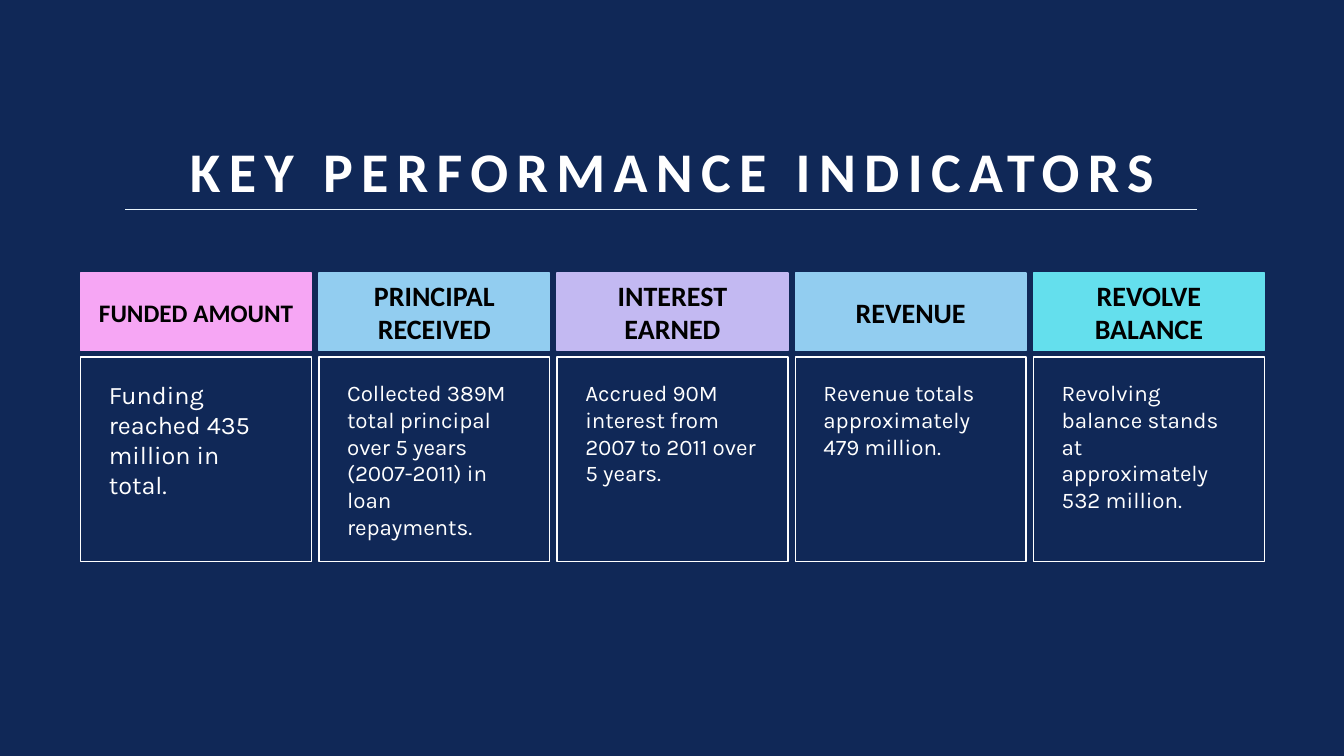
from dataclasses import dataclass

from lxml.etree import SubElement
from pptx import Presentation
from pptx.dml.color import RGBColor
from pptx.enum.shapes import MSO_CONNECTOR, MSO_SHAPE
from pptx.enum.text import MSO_ANCHOR, PP_ALIGN
from pptx.oxml.ns import qn
from pptx.util import Inches, Pt


@dataclass(frozen=True)
class Theme:
    background: str = "102857"
    light: str = "FFFFFF"
    dark: str = "000000"
    rule: str = "E9F5FC"
    pink: str = "F6A6F4"
    blue: str = "92CDF0"
    lilac: str = "C3B9F2"
    aqua: str = "64DFED"
    heading_font: str = "Calibri"
    body_font: str = "Karla"
    title_size: int = 40
    heading_size: int = 20
    body_size: int = 16
    lead_size: int = 18
    title_tracking: int = 6


@dataclass(frozen=True)
class Box:
    left: float
    top: float
    width: float
    height: float

    def lengths(self):
        return [Inches(n) for n in (self.left, self.top, self.width, self.height)]


THEME = Theme()
HEADING_FRAME = {"vertical_anchor": MSO_ANCHOR.MIDDLE}
BODY_FRAME = {
    "vertical_anchor": MSO_ANCHOR.TOP,
    "margin_left": Inches(0.28),
    "margin_top": Inches(0.22),
    "margin_right": Inches(0.3),
    "margin_bottom": Inches(0.05),
}
# heading, heading colour, heading size, body text, body size
INDICATORS = [
    ("FUNDED AMOUNT", THEME.pink, THEME.lead_size,
     "Funding reached 435 million in total.", THEME.lead_size),
    ("PRINCIPAL RECEIVED", THEME.blue, THEME.heading_size,
     "Collected 389M total principal over 5 years (2007-2011) in loan repayments.",
     THEME.body_size),
    ("INTEREST EARNED", THEME.lilac, THEME.heading_size,
     "Accrued 90M interest from 2007 to 2011 over 5 years.", THEME.body_size),
    ("REVENUE", THEME.blue, THEME.heading_size,
     "Revenue totals approximately 479 million.", THEME.body_size),
    ("REVOLVE BALANCE", THEME.aqua, THEME.heading_size,
     "Revolving balance stands at approximately 532 million.", THEME.body_size),
]


def apply(target, values):
    for name, value in values.items():
        setattr(target, name, value)


def write(shape, text, align, frame_format, color, **font_format):
    """Put one formatted run into the shape and return it."""
    frame = shape.text_frame
    apply(frame, {"word_wrap": True, **frame_format})
    para = frame.paragraphs[0]
    para.alignment = align
    span = para.add_run()
    span.text = text
    apply(span.font, font_format)
    span.font.color.rgb = RGBColor.from_string(color)
    return span


def add_panel(page, box, line, fill=None):
    panel = page.shapes.add_shape(MSO_SHAPE.RECTANGLE, *box.lengths())
    panel.shadow.inherit = False
    panel.line.color.rgb = RGBColor.from_string(line)
    panel.line.width = Pt(1)
    if fill:
        panel.fill.solid()
        panel.fill.fore_color.rgb = RGBColor.from_string(fill)
    else:
        panel.fill.background()
    return panel


def add_title(page, box):
    """Format the title placeholder and rule a line under it."""
    title = page.shapes.title
    apply(title, dict(zip(("left", "top", "width", "height"), box.lengths())))
    span = write(title, "KEY PERFORMANCE INDICATORS", PP_ALIGN.CENTER,
                 {"vertical_anchor": MSO_ANCHOR.BOTTOM}, THEME.light,
                 name=THEME.heading_font, size=Pt(THEME.title_size), bold=True)
    title.text_frame.paragraphs[0].line_spacing = 0.9
    span.font._element.set("spc", str(THEME.title_tracking * 100))

    bottom = Inches(box.top + box.height)
    rule = page.shapes.add_connector(
        MSO_CONNECTOR.STRAIGHT, Inches(box.left + 0.44), bottom,
        Inches(box.left + box.width - 0.67), bottom)
    rule.line.color.rgb = RGBColor.from_string(THEME.rule)
    rule.line.width = Pt(0.5)
    SubElement(rule._element.spPr, qn("a:effectLst"))


def add_indicator(page, box, heading, color, heading_size, body, body_size):
    heading_height, gap = 0.77, 0.06
    body_top = heading_height + gap
    header = add_panel(page, Box(box.left, box.top, box.width, heading_height),
                       color, color)
    write(header, heading, PP_ALIGN.CENTER, HEADING_FRAME, THEME.dark,
          name=THEME.heading_font, size=Pt(heading_size), bold=True)
    detail = add_panel(page, Box(box.left, box.top + body_top, box.width,
                                 box.height - body_top), THEME.light)
    write(detail, body, PP_ALIGN.LEFT, BODY_FRAME, THEME.light,
          name=THEME.body_font, size=Pt(body_size))


def add_indicators(page, box):
    """Spread the indicator columns evenly over the box."""
    width = 2.29
    step = (box.width - width) / (len(INDICATORS) - 1)
    for index, indicator in enumerate(INDICATORS):
        column = Box(box.left + index * step, box.top, width, box.height)
        add_indicator(page, column, *indicator)


def main():
    deck = Presentation()
    deck.slide_width, deck.slide_height = Inches(13.33), Inches(7.5)
    page = deck.slides.add_slide(deck.slide_layouts.get_by_name("Title Only"))
    page.background.fill.solid()
    page.background.fill.fore_color.rgb = RGBColor.from_string(THEME.background)
    add_title(page, Box(0.8, 0.91, 11.74, 1.17))
    add_indicators(page, Box(0.8, 2.71, 11.74, 2.86))
    deck.save("out.pptx")


if __name__ == "__main__":
    main()
